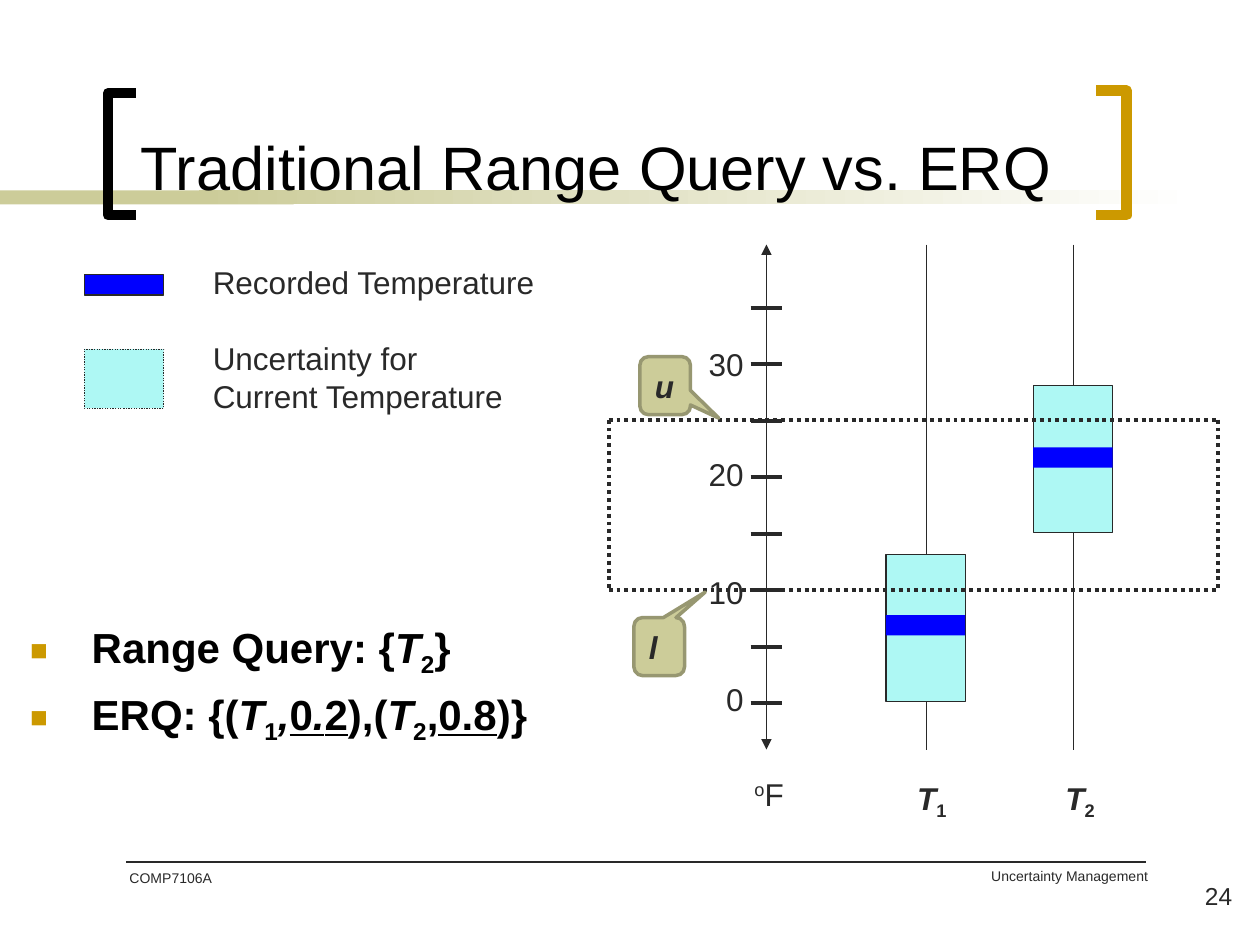
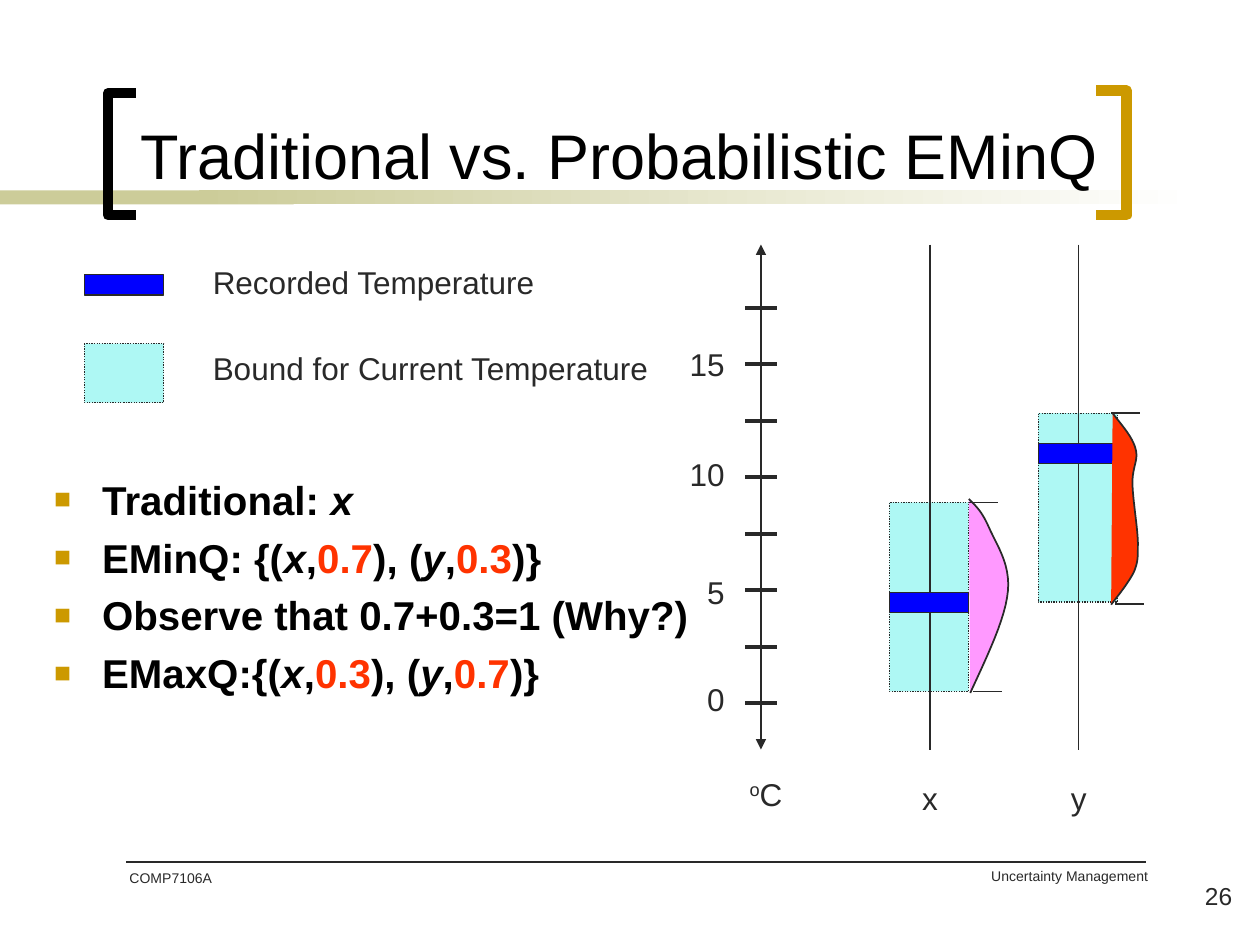
"""Build two slides comparing traditional queries with probabilistic ones."""
from lxml import etree
from pptx import Presentation
from pptx.dml.color import RGBColor
from pptx.enum.dml import MSO_LINE
from pptx.enum.shapes import MSO_CONNECTOR, MSO_SHAPE
from pptx.enum.text import MSO_ANCHOR, PP_ALIGN
from pptx.oxml.ns import qn
from pptx.util import Cm, Pt

RECT, CALLOUT = MSO_SHAPE.RECTANGLE, MSO_SHAPE.ROUNDED_RECTANGULAR_CALLOUT
STRAIGHT, DOTTED = MSO_CONNECTOR.STRAIGHT, MSO_LINE.ROUND_DOT
LEFT, RIGHT = PP_ALIGN.LEFT, PP_ALIGN.RIGHT
TOP, MIDDLE, BOTTOM = MSO_ANCHOR.TOP, MSO_ANCHOR.MIDDLE, MSO_ANCHOR.BOTTOM

FONT = "Arial"
INK = RGBColor(0x29, 0x29, 0x29)
BLACK = RGBColor(0, 0, 0)
WHITE = RGBColor(0xFF, 0xFF, 0xFF)
GOLD = RGBColor(0xCC, 0x99, 0x00)
KHAKI = RGBColor(0xCC, 0xCC, 0x99)
OLIVE = RGBColor(0x97, 0x97, 0x71)
BLUE = RGBColor(0, 0, 0xFF)
CYAN = RGBColor(0xAE, 0xF8, 0xF4)
RED = RGBColor(0xFF, 0x33, 0x00)
PINK = RGBColor(0xFF, 0x99, 0xFF)

BAR_WIDTH, RECORDED_HEIGHT = 1.6, 0.41
AXIS_TOP, AXIS_BOTTOM = 4.93, 15.11
TICK_TOP, TICK_STEP, TICK_COUNT, TICK_HALF = 6.2, 1.14, 8, 0.32
LABEL_TOPS = [6.83, 9.04, 11.43, 13.59]
CURVE_STEPS = 12

BRACKETS = [
    (BLACK, [(2.74, 4.34), (2.18, 4.34), (2.18, 1.88), (2.74, 1.88)]),
    (GOLD, [(22.1, 1.83), (22.71, 1.83), (22.71, 4.34), (22.1, 4.34)]),
]

# Run marks: i italic, u underlined, _ subscript, ^ superscript, ! highlighted
ERQ = {
    "number": "24",
    "title": ("Traditional Range Query vs. ERQ", (2.59, 0.28, 19.89, 3.94), 35),
    "bullets": [
        [("Range Query: {", ""), ("T", "i"), ("2", "_"), ("}", "")],
        [("ERQ: {(", ""), ("T", "i"), ("1", "_"), (",", "i"), ("0", "u"), (".", "iu"),
         ("2", "u"), ("),(", ""), ("T", "i"), ("2", "_"), (",", ""), ("0.8", "u"), (")}", "")],
    ],
    "bullet_box": (0.36, 12.4, 14.07, 5.74), "bullet_size": 24, "indent": 1.24,
    "bound_text": ["Uncertainty for", "Current Temperature"],
    "bound_text_top": 6.71, "bound_swatch_top": 7.04,
    "axis": 15.45, "labels": ["30", "20", "10", "0"], "label_right": 15.24,
    "unit": "F", "unit_left": 14.96,
    "bar_height": 2.97, "bar_dash": None, "recorded_line": None,
    "thread_in_front": False, "bold_names": True,
    "items": [
        {"name": [("T", "i"), ("1", "_")], "name_left": 18.24, "thread": 18.67,
         "left": 17.86, "top": 11.18, "recorded": 12.4},
        {"name": [("T", "i"), ("2", "_")], "name_left": 21.23, "thread": 21.64,
         "left": 20.83, "top": 7.77, "recorded": 9.02},
    ],
}
EMINQ = {
    "number": "26",
    "title": ("Traditional vs. Probabilistic EMinQ", (2.59, 1.35, 20.65, 2.64), 36),
    "bullets": [
        [("Traditional: ", ""), ("x", "i")],
        [("EMinQ: {(", ""), ("x", "i"), (",", ""), ("0.7", "!"), ("), (", ""),
         ("y", "i"), (",", ""), ("0.3", "!"), (")}", "")],
        [("Observe that 0.7+0.3=1 (Why?)", "")],
        [("EMaxQ:{(", ""), ("x", "i"), (",", ""), ("0.3", "!"), ("), (", ""),
         ("y", "i"), (",", ""), ("0.7", "!"), (")}", "")],
    ],
    "bullet_box": (0.84, 9.45, 13.51, 7.19), "bullet_size": 23, "indent": 0.97,
    "bound_text": ["Bound for Current Temperature"],
    "bound_text_top": 6.91, "bound_swatch_top": 6.93,
    "axis": 15.34, "labels": ["15", "10", "5", "0"], "label_right": 14.86,
    "unit": "C", "unit_left": 14.86,
    "bar_height": 3.81, "bar_dash": DOTTED, "recorded_line": INK,
    "thread_in_front": True, "bold_names": False,
    "items": [
        {"name": [("x", "")], "name_left": 18.34, "thread": 18.75,
         "left": 17.93, "top": 10.13, "recorded": 11.94},
        {"name": [("y", "")], "name_left": 21.34, "thread": 21.74,
         "left": 20.93, "top": 8.33, "recorded": 8.94},
    ],
}

RANGE_LEFT, RANGE_RIGHT, RANGE_TOP, RANGE_BOTTOM = 12.27, 24.56, 8.46, 11.89
RANGE_CALLOUTS = [
    ("l", (12.78, 12.45, 1.02, 1.17), (0.91, -0.94, 0.17)),
    ("u", (12.9, 7.19, 1.02, 1.17), (1.06, 0.56, 0.17)),
]
DENSITIES = [
    (RED, [(22.43, 8.33), (22.63, 8.59), (22.83, 8.81), (22.89, 9.04),
           (22.96, 9.27), (22.83, 9.4), (22.83, 9.73),
           (22.83, 10.03), (22.94, 10.67), (22.94, 10.95),
           (22.94, 11.25), (22.94, 11.33), (22.86, 11.53),
           (22.76, 11.73), (22.58, 11.96), (22.4, 12.19)],
     [(22.4, 8.33), (22.48, 12.17)]),
    (PINK, [(19.53, 10.06), (19.69, 10.21), (19.81, 10.34), (19.94, 10.64),
            (20.07, 10.95), (20.37, 11.35), (20.32, 11.91),
            (20.27, 12.47), (19.91, 13.21), (19.56, 13.97)],
     [(19.53, 10.13), (19.61, 13.94)]),
]
DENSITY_MARK = 0.58


def style_line(line, color, width, dash=None):
    if color is None:
        line.fill.background()
        return
    line.color.rgb = color
    line.width = Pt(width)
    if dash:
        line.dash_style = dash


def add_panel(page, area, fill, line=None, width=0.75, dash=None, kind=RECT):
    panel = page.shapes.add_shape(kind, *map(Cm, area))
    panel.shadow.inherit = False
    panel.fill.solid()
    panel.fill.fore_color.rgb = fill
    style_line(panel.line, line, width, dash)
    return panel


def add_line(page, x1, y1, x2, y2, width=0.75, dash=None, arrows=False):
    line = page.shapes.add_connector(STRAIGHT, Cm(x1), Cm(y1), Cm(x2), Cm(y2))
    style_line(line.line, INK, width, dash)
    properties = line._element.spPr
    if arrows:
        outline = properties.find(qn("a:ln"))
        for end in ("a:headEnd", "a:tailEnd"):
            etree.SubElement(outline, qn(end), type="triangle")
    etree.SubElement(properties, qn("a:effectLst"))


def add_outline(page, points, color, width, fill=None):
    corners = [(Cm(x), Cm(y)) for x, y in points]
    builder = page.shapes.build_freeform(*corners[0])
    builder.add_line_segments(corners[1:], close=False)
    outline = builder.convert_to_shape()
    outline.shadow.inherit = False
    if fill is None:
        outline.fill.background()
    else:
        outline.fill.solid()
        outline.fill.fore_color.rgb = fill
    style_line(outline.line, color, width)


def trace_curve(points):
    traced = [points[0]]
    for start in range(0, len(points) - 1, 3):
        a, b, c, d = points[start:start + 4]
        for step in range(1, CURVE_STEPS + 1):
            t = step / CURVE_STEPS
            weights = ((1 - t) ** 3, 3 * t * (1 - t) ** 2, 3 * t * t * (1 - t), t ** 3)
            traced.append(tuple(sum(w * v for w, v in zip(weights, axis))
                                for axis in zip(a, b, c, d)))
    return traced


def add_bullet(para, indent):
    properties = para._p.get_or_add_pPr()
    properties.set("marL", str(Cm(indent)))
    properties.set("indent", str(-Cm(indent)))
    color = etree.SubElement(properties, qn("a:buClr"))
    etree.SubElement(color, qn("a:srgbClr"), val=str(GOLD))
    etree.SubElement(properties, qn("a:buSzPct"), val="70000")
    etree.SubElement(properties, qn("a:buFont"), typeface=FONT)
    etree.SubElement(properties, qn("a:buChar"), char="■")


def write(shape, paragraphs, size=18, color=INK, bold=False, align=LEFT,
          anchor=TOP, indent=None):
    frame = shape.text_frame
    frame.word_wrap = True
    frame.vertical_anchor = anchor
    for index, runs in enumerate(paragraphs):
        para = frame.add_paragraph() if index else frame.paragraphs[0]
        para.alignment = align
        if indent:
            if index:
                para.space_before = Pt(5.5)
            add_bullet(para, indent)
        for text, marks in runs:
            span = para.add_run()
            span.text = text
            font = span.font
            font.name, font.size, font.bold = FONT, Pt(size), bold
            font.italic = "i" in marks
            font.underline = "u" in marks
            font.color.rgb = RED if "!" in marks else color
            for mark, baseline in (("_", "-25000"), ("^", "30000")):
                if mark in marks:
                    span._r.get_or_add_rPr().set("baseline", baseline)


def add_text(page, area, paragraphs, **style):
    write(page.shapes.add_textbox(*map(Cm, area)), paragraphs, **style)


def add_frame(page, content):
    add_panel(page, (0, 3.84, 5.92, 0.28), KHAKI)
    fade = add_panel(page, (4.01, 3.84, 20.12, 0.28), KHAKI)
    fade.fill.gradient()
    fade.fill.gradient_angle = 0
    for stop, color in zip(fade.fill.gradient_stops, (KHAKI, WHITE)):
        stop.color.rgb = color
    for color, points in BRACKETS:
        add_outline(page, points, color, 6)
    add_line(page, 2.54, 17.37, 23.11, 17.37, width=1)
    add_text(page, (12.88, 17.37, 10.52, 1.27), [[("Uncertainty Management", "")]],
             size=8, align=RIGHT)
    add_text(page, (2.36, 17.4, 2.97, 1.27), [[("COMP7106A", "")]], size=8)
    add_text(page, (23.19, 17.63, 1.9, 1.27), [[(content["number"], "")]],
             size=14, align=RIGHT)
    title, area, size = content["title"]
    add_text(page, area, [[(title, "")]], size=size, color=BLACK, anchor=BOTTOM)
    add_text(page, content["bullet_box"], content["bullets"], size=content["bullet_size"],
             color=BLACK, bold=True, indent=content["indent"])


def add_legend(page, content):
    add_panel(page, (1.7, 5.54, BAR_WIDTH, RECORDED_HEIGHT), BLUE, INK)
    add_text(page, (4.04, 5.18, 10, 1.02), [[("Recorded Temperature", "")]])
    add_panel(page, (1.7, content["bound_swatch_top"], BAR_WIDTH, 1.19), CYAN, INK, dash=DOTTED)
    lines = content["bound_text"]
    add_text(page, (4.04, content["bound_text_top"], 10, 1.02 * len(lines)),
             [[(line, "")] for line in lines])


def add_axis(page, content):
    axis = content["axis"]
    add_line(page, axis, AXIS_TOP, axis, AXIS_BOTTOM, arrows=True)
    for index in range(TICK_COUNT):
        y = TICK_TOP + index * TICK_STEP
        add_line(page, axis - TICK_HALF, y, axis + TICK_HALF, y, width=2.25)
    for label, top in zip(content["labels"], LABEL_TOPS):
        add_text(page, (content["label_right"] - 1.5, top, 1.5, 1.02), [[(label, "")]],
                 align=RIGHT)
    add_text(page, (content["unit_left"], 15.49, 1.5, 1.02),
             [[("o", "^"), (content["unit"], "")]])


def add_item(page, content, item):
    def add_thread():
        add_line(page, item["thread"], AXIS_TOP, item["thread"], AXIS_BOTTOM)

    def add_bound():
        add_panel(page, (item["left"], item["top"], BAR_WIDTH, content["bar_height"]),
                  CYAN, INK, dash=content["bar_dash"])

    layers = [add_thread, add_bound]
    for add_layer in reversed(layers) if content["thread_in_front"] else layers:
        add_layer()
    add_panel(page, (item["left"], item["recorded"], BAR_WIDTH, RECORDED_HEIGHT),
              BLUE, content["recorded_line"])
    add_text(page, (item["name_left"], 15.57, 1.9, 1.02), [item["name"]],
             bold=content["bold_names"])


def add_range(page):
    for y in (RANGE_TOP, RANGE_BOTTOM):
        add_line(page, RANGE_LEFT, y, RANGE_RIGHT, y, 2.25, DOTTED)
    for x in (RANGE_LEFT, RANGE_RIGHT):
        add_line(page, x, RANGE_TOP, x, RANGE_BOTTOM, 2.25, DOTTED)
    for letter, area, adjustments in RANGE_CALLOUTS:
        callout = add_panel(page, area, KHAKI, OLIVE, width=2, kind=CALLOUT)
        for index, value in enumerate(adjustments):
            callout.adjustments[index] = value
        write(callout, [[(letter, "i")]], bold=True, anchor=MIDDLE)


def add_densities(page):
    for fill, points, marks in DENSITIES:
        add_outline(page, trace_curve(points), INK, 1, fill)
        for x, y in marks:
            add_line(page, x, y, x + DENSITY_MARK, y, width=1)


def main():
    deck = Presentation()
    deck.slide_width, deck.slide_height = Cm(25.4), Cm(19.05)
    for content, add_extras in ((ERQ, add_range), (EMINQ, add_densities)):
        page = deck.slides.add_slide(deck.slide_layouts[6])
        add_frame(page, content)
        add_legend(page, content)
        add_axis(page, content)
        for item in content["items"]:
            add_item(page, content, item)
        add_extras(page)
    deck.save("out.pptx")


if __name__ == "__main__":
    main()
